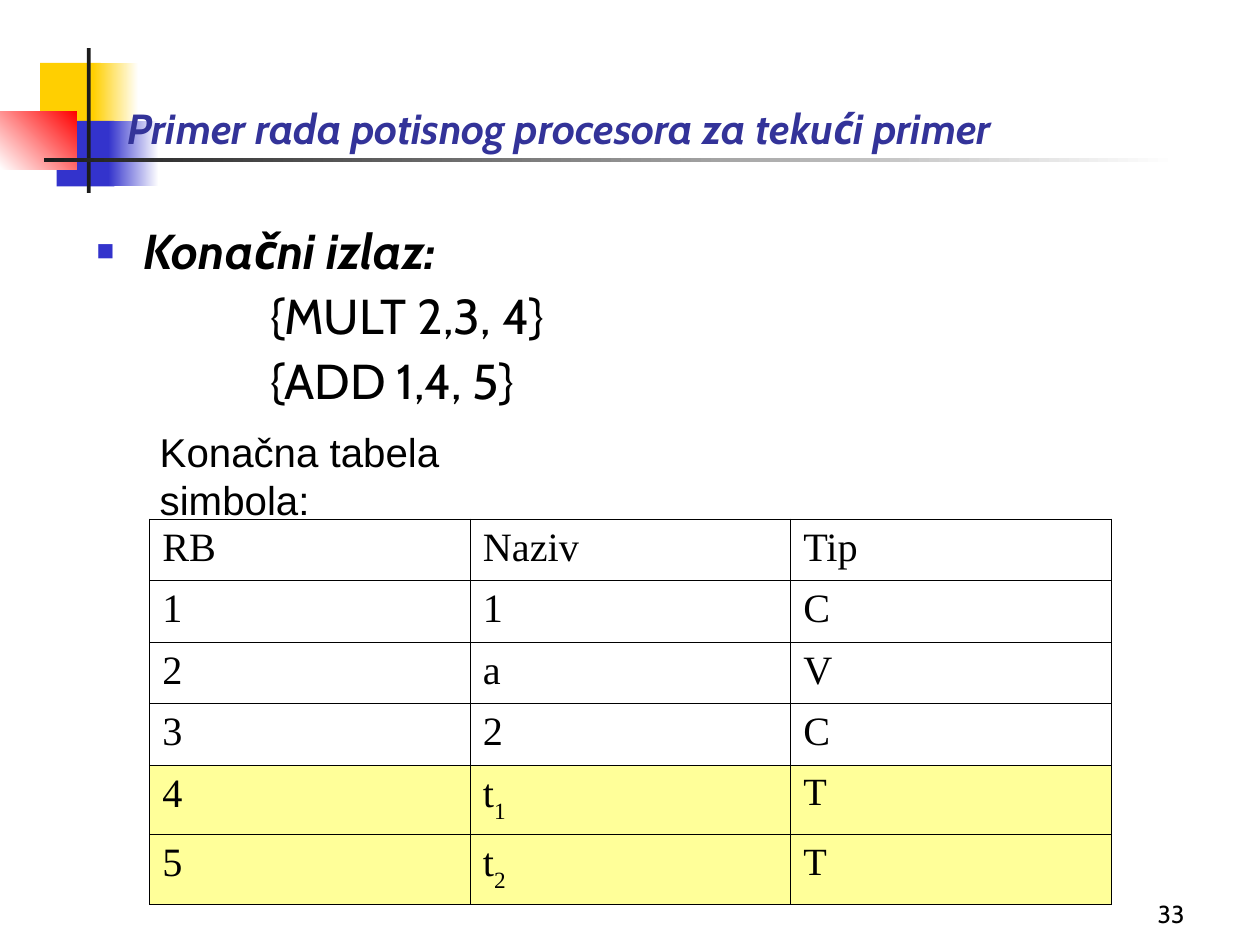
from dataclasses import dataclass

from lxml.etree import SubElement
from pptx import Presentation
from pptx.dml.color import RGBColor as Color
from pptx.enum.shapes import MSO_SHAPE as Preset
from pptx.enum.text import MSO_ANCHOR as Anchor, MSO_AUTO_SIZE as AutoSize, PP_ALIGN as Align
from pptx.oxml.ns import qn
from pptx.util import Cm, Pt


@dataclass(frozen=True)
class Theme:
    title: str = "333399"
    text: str = "000000"
    blue: str = "3333CC"
    yellow: str = "FFCF01"
    red: str = "FF0000"
    dark: str = "1C1C1C"
    white: str = "FFFFFF"
    highlight: str = "FFFF99"
    font: str = "Cabin"
    caption_font: str = "Arial"
    table_font: str = "Times New Roman"
    title_size: int = 24
    body_size: int = 28
    table_size: int = 23
    type_size: int = 22
    number_size: int = 14
    border: float = 0.45


THEME = Theme()
TITLE = "Primer rada potisnog procesora za tekući primer"
HEADING = "Konačni izlaz:"
OUTPUT = ["{MULT 2,3, 4}", "{ADD 1,4, 5}"]
CAPTION = "Konačna tabela simbola:"
NUMBER = "33"
SYMBOLS = [
    [("RB",), ("Naziv",), ("Tip",)],
    [("1",), ("1",), ("C",)],
    [("2",), ("a",), ("V",)],
    [("3",), ("2",), ("C",)],
    [("4",), ("t", "1"), ("T",)],
    [("5",), ("t", "2"), ("T",)],
]
FIRST_TEMPORARY = 4
ROW_HEIGHTS = [1.24, 1.24, 1.24, 1.24, 1.4, 1.35]
COLUMN_WIDTH = 6.46
DECORATION = [
    ((0.81, 1.27, 1.22, 1.32), (THEME.yellow,), 0),
    ((1.88, 1.27, 0.91, 1.32), (THEME.white, THEME.yellow), 180),
    ((1.14, 2.44, 1.17, 1.32), (THEME.blue,), 0),
    ((2.18, 2.44, 1.02, 1.32), (THEME.white, THEME.blue), 180),
    ((0, 2.24, 1.55, 1.17), (THEME.red, THEME.white), 225),
    ((1.75, 0.97, 0.08, 2.92), (THEME.dark,), 0),
    ((0.89, 3.18, 22.86, 0.08), (THEME.white, THEME.dark), 180),
]


def lengths(box):
    return [Cm(value) for value in box]


def set_font(paragraph, name, size, color=THEME.text, strong=False):
    font = paragraph.font
    font.name, font.size = name, Pt(size)
    font.bold = font.italic = strong
    font.color.rgb = Color.from_string(color)


def add_decoration(slide, box, colors, angle):
    shape = slide.shapes.add_shape(Preset.RECTANGLE, *lengths(box))
    shape.shadow.inherit = False
    shape.line.fill.background()
    if len(colors) == 1:
        shape.fill.solid()
        shape.fill.fore_color.rgb = Color.from_string(colors[0])
        return
    shape.fill.gradient()
    shape.fill.gradient_angle = angle
    for stop, color in zip(shape.fill.gradient_stops, colors):
        stop.color.rgb = Color.from_string(color)


def place_title(slide):
    title = slide.shapes.title
    slide.shapes._spTree.append(title._element)
    title.left, title.top, title.width, title.height = lengths((2.31, 0, 22.68, 3.2))
    frame = title.text_frame
    frame.text = TITLE
    frame.auto_size = AutoSize.NONE
    frame.vertical_anchor = Anchor.BOTTOM
    paragraph = frame.paragraphs[0]
    paragraph.alignment = Align.LEFT
    set_font(paragraph, THEME.font, THEME.title_size, THEME.title, True)


def add_text(slide, box, lines, anchor=Anchor.TOP, wrap=True):
    frame = slide.shapes.add_textbox(*lengths(box)).text_frame
    frame.word_wrap = wrap
    frame.vertical_anchor = anchor
    frame.text = "\n".join(lines)
    return frame.paragraphs


def add_bullet(paragraph):
    properties = paragraph._p.get_or_add_pPr()
    properties.set("marL", str(Cm(0.95)))
    properties.set("indent", str(-Cm(0.95)))
    color = SubElement(properties, qn("a:buClr"))
    SubElement(color, qn("a:srgbClr"), val=THEME.blue)
    SubElement(properties, qn("a:buSzPct"), val="60000")
    SubElement(properties, qn("a:buFont"), typeface=THEME.caption_font)
    SubElement(properties, qn("a:buChar"), char="■")


def add_body(slide):
    heading, *output = add_text(slide, (1.7, 4.45, 21.59, 4.14), [HEADING, *OUTPUT])
    add_bullet(heading)
    set_font(heading, THEME.font, THEME.body_size, strong=True)
    heading.line_spacing = 0.9
    for paragraph in output:
        paragraph._p.get_or_add_pPr().set("marL", str(Cm(3.5)))
        set_font(paragraph, THEME.font, THEME.body_size)
        paragraph.line_spacing = 0.9
        paragraph.space_before = Pt(7)


def add_borders(cell):
    properties = cell._tc.get_or_add_tcPr()
    for side in ("lnL", "lnR", "lnT", "lnB"):
        line = SubElement(properties, qn(f"a:{side}"), w=str(Pt(THEME.border)))
        fill = SubElement(line, qn("a:solidFill"))
        SubElement(fill, qn("a:srgbClr"), val=THEME.text)


def fill_cell(cell, parts, temporary, size):
    add_borders(cell)
    if temporary:
        cell.fill.solid()
        cell.fill.fore_color.rgb = Color.from_string(THEME.highlight)
    else:
        cell.fill.background()
    paragraph = cell.text_frame.paragraphs[0]
    set_font(paragraph, THEME.table_font, size)
    for index, part in enumerate(parts):
        run = paragraph.add_run()
        run.text = part
        if index:
            run._r.get_or_add_rPr().set("baseline", "-30000")


def add_symbols(slide):
    columns = len(SYMBOLS[0])
    box = (3.02, 10.46, columns * COLUMN_WIDTH, sum(ROW_HEIGHTS))
    table = slide.shapes.add_table(len(SYMBOLS), columns, *lengths(box)).table
    table.first_row = table.horz_banding = False
    for column in table.columns:
        column.width = Cm(COLUMN_WIDTH)
    for row_index, (row, height) in enumerate(zip(SYMBOLS, ROW_HEIGHTS)):
        table.rows[row_index].height = Cm(height)
        temporary = row_index >= FIRST_TEMPORARY
        for column_index, parts in enumerate(row):
            small = temporary and column_index == columns - 1
            size = THEME.type_size if small else THEME.table_size
            fill_cell(table.cell(row_index, column_index), parts, temporary, size)


def main():
    presentation = Presentation()
    presentation.slide_width, presentation.slide_height = Cm(25.4), Cm(19.05)
    slide = presentation.slides.add_slide(presentation.slide_layouts[5])
    for box, colors, angle in DECORATION:
        add_decoration(slide, box, colors, angle)
    place_title(slide)
    add_body(slide)
    caption = add_text(slide, (2.97, 8.97, 9.4, 1.24), [CAPTION], Anchor.MIDDLE, False)[0]
    set_font(caption, THEME.caption_font, THEME.table_size)
    add_symbols(slide)
    number = add_text(slide, (21.39, 17.58, 2.74, 1.27), [NUMBER], Anchor.BOTTOM)[0]
    number.alignment = Align.RIGHT
    set_font(number, THEME.font, THEME.number_size)
    presentation.save("out.pptx")


if __name__ == "__main__":
    main()
